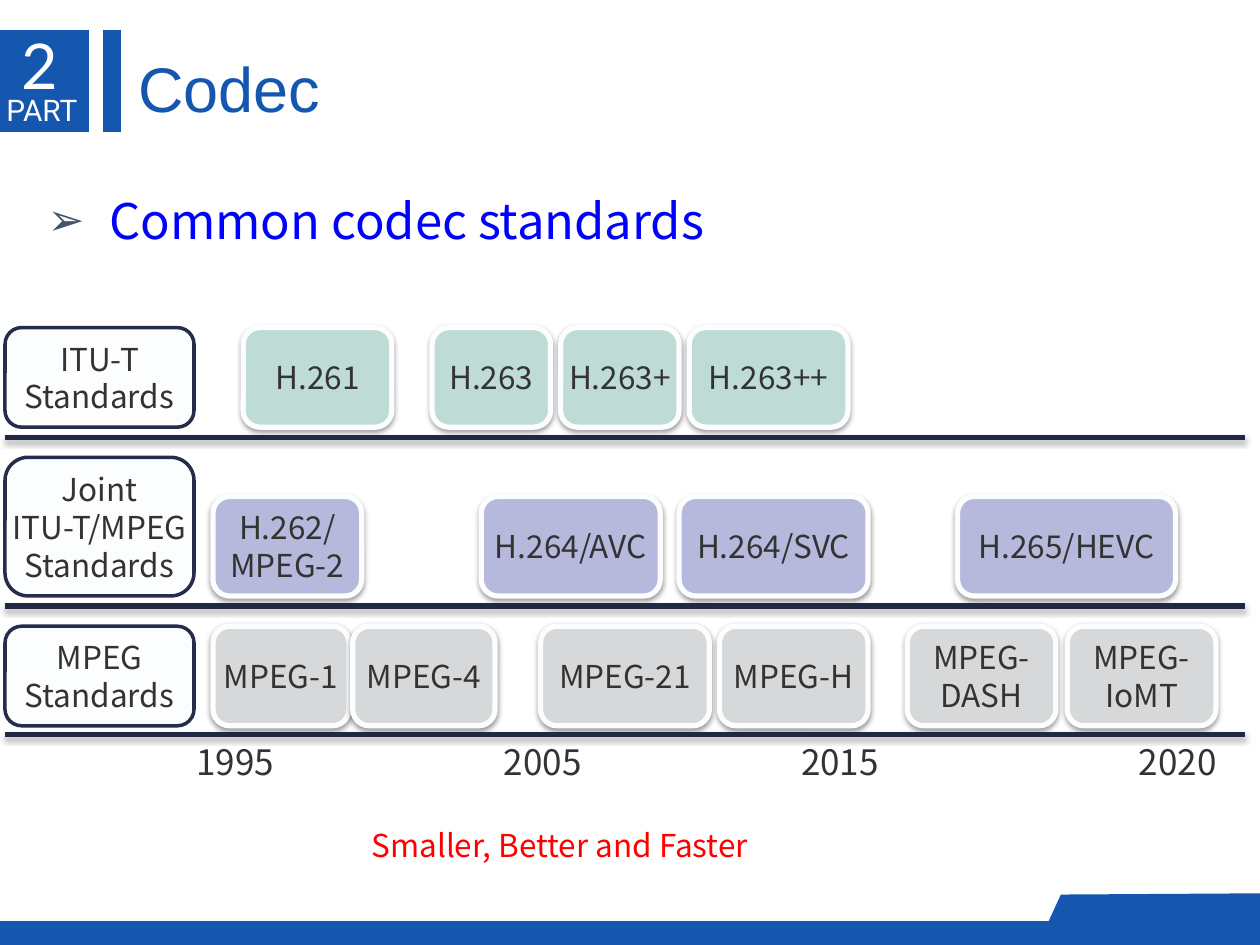
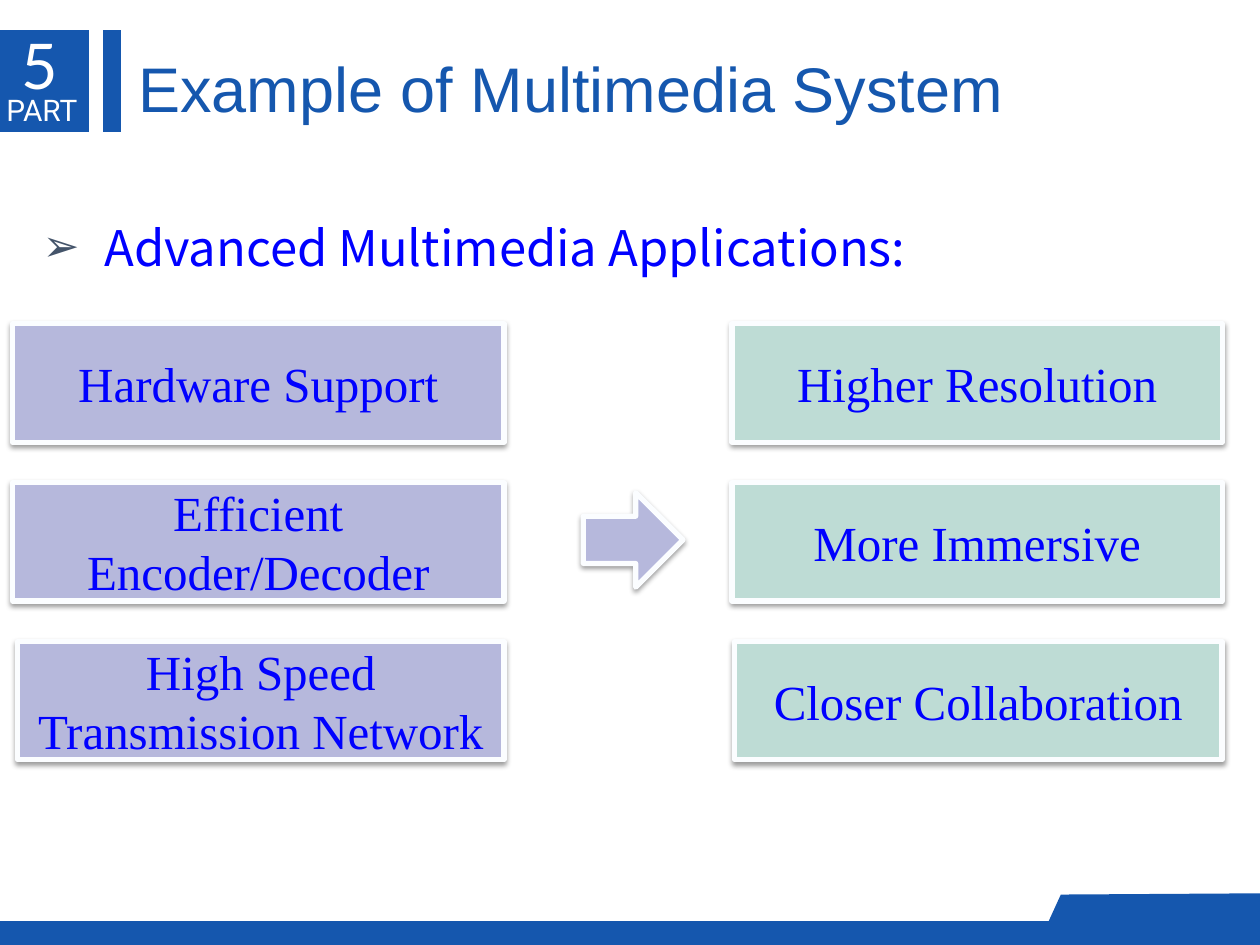
import pptx
import pptx.dml.color
import pptx.enum.shapes
import pptx.enum.text
import pptx.oxml
import pptx.oxml.ns
import pptx.util
import lxml.etree

Inches = pptx.util.Inches
Shapes = pptx.enum.shapes.MSO_SHAPE
Align = pptx.enum.text.PP_ALIGN
Anchor = pptx.enum.text.MSO_ANCHOR
AutoSize = pptx.enum.text.MSO_AUTO_SIZE

BLUE, WHITE, INK, LINK = "1557AE", "FFFFFF", "333333", "0000FF"
PALE, NAVY, AXIS, RED, SLATE = "FBFDFF", "262D4C", "212844", "FF0000", "44546A"
GREEN, LILAC, GREY = "BEDCD5", "B6B8DC", "D6D8DA"
SANS, SERIF = "Noto Sans CJK SC", "Times New Roman"

TITLE = {"name": "Arial", "size": 36, "color": BLUE}
NUMBER = {"name": "Lato", "size": 36, "color": WHITE}
PART = {"name": "Roboto", "size": 17, "color": WHITE}
HEADING = {"name": SANS, "size": 28, "color": LINK}
CODEC = {"name": SANS, "size": 18, "color": INK}
YEAR = {"name": SANS, "size": 20, "color": INK}
SLOGAN = {"name": SANS, "size": 18, "color": RED}
TOPIC = {"name": SERIF, "size": 28, "color": LINK}

NODE_HEIGHT = 0.79
STANDARDS = [
    {"label": "ITU-T\nStandards", "label_top": 2.6, "top": 2.6, "axis": 3.47, "fill": GREEN,
     "nodes": [("H.261", 1.93, 1.18), ("H.263", 3.43, 0.94),
               ("H.263+", 4.45, 0.94), ("H.263++", 5.47, 1.26)]},
    {"label": "Joint\nITU-T/MPEG\nStandards", "label_top": 3.63, "top": 3.94, "axis": 4.81,
     "fill": LILAC,
     "nodes": [("H.262/\nMPEG-2", 1.69, 1.18), ("H.264/AVC", 3.82, 1.42),
               ("H.264/SVC", 5.39, 1.5), ("H.265/HEVC", 7.6, 1.73)]},
    {"label": "MPEG\nStandards", "label_top": 4.97, "top": 4.97, "axis": 5.83, "fill": GREY,
     "nodes": [("MPEG-1", 1.69, 1.08), ("MPEG-4", 2.8, 1.13), ("MPEG-21", 4.29, 1.34),
               ("MPEG-H", 5.71, 1.18), ("MPEG-\nDASH", 7.2, 1.18),
               ("MPEG-\nIoMT", 8.47, 1.18)]},
]
YEARS = [("1995", 1.46), ("2005", 3.9), ("2015", 6.26), ("2020", 8.94)]

TOPIC_TOP, TOPIC_STEP, TOPIC_HEIGHT = 2.57, 1.26, 0.94
TOPIC_COLUMNS = [
    (LILAC, 4.0, [("Hardware Support", 0.1), ("Efficient\nEncoder/Decoder", 0.1),
                  ("High Speed\nTransmission Network", 0.14)]),
    (GREEN, 9.7, [("Higher Resolution", 5.81), ("More Immersive", 5.81),
                  ("Closer Collaboration", 5.83)]),
]


def rgb(value):
    return pptx.dml.color.RGBColor.from_string(value)


def write(box, text, style, align=Align.LEFT):
    frame = box.text_frame
    for index, line in enumerate(text.split("\n")):
        para = frame.add_paragraph() if index else frame.paragraphs[0]
        para.alignment = align
        span = para.add_run()
        span.text = line
        span.font.name = style["name"]
        span.font.size = pptx.util.Pt(style["size"])
        span.font.color.rgb = rgb(style["color"])
    return frame


def add_text(page, text, left, top, width, height, style, wrap=False, margin=None):
    box = page.shapes.add_textbox(*map(Inches, (left, top, width, height)))
    frame = write(box, text, style)
    frame.word_wrap = wrap
    frame.auto_size = AutoSize.NONE if wrap else AutoSize.SHAPE_TO_FIT_TEXT
    if margin is not None:
        for side in ("left", "right", "top", "bottom"):
            setattr(frame, f"margin_{side}", Inches(margin))
    return frame


def paint(shape, fill, line=None, weight=0):
    shape.shadow.inherit = False
    shape.fill.solid()
    shape.fill.fore_color.rgb = rgb(fill)
    if line:
        shape.line.color.rgb = rgb(line)
        shape.line.width = pptx.util.Pt(weight)
    else:
        shape.line.fill.background()


def cast_shadow(shape, opacity, distance):
    properties = shape._element.spPr
    effects = properties.find(pptx.oxml.ns.qn("a:effectLst"))
    if effects is None:
        effects = lxml.etree.SubElement(properties, pptx.oxml.ns.qn("a:effectLst"))
    effects.append(pptx.oxml.parse_xml(
        f'<a:outerShdw {pptx.oxml.ns.nsdecls("a")} blurRad="{pptx.util.Pt(3.1)}" '
        f'dist="{pptx.util.Pt(distance)}" dir="5400000" rotWithShape="0">'
        f'<a:srgbClr val="000000"><a:alpha val="{opacity * 1000}"/></a:srgbClr>'
        '</a:outerShdw>'))


def add_shape(page, kind, left, top, width, height, fill, line=None, weight=0):
    shape = page.shapes.add_shape(kind, *map(Inches, (left, top, width, height)))
    paint(shape, fill, line, weight)
    return shape


def add_label(shape, text, style):
    frame = write(shape, text, style, Align.CENTER)
    frame.word_wrap = False
    frame.vertical_anchor = Anchor.MIDDLE


def add_card(page, kind, left, top, width, height, fill, text="", style=None):
    card = add_shape(page, kind, left, top, width, height, fill, PALE, 3)
    cast_shadow(card, 38, 1.6)
    if text:
        add_label(card, text, style)


def add_axis(page, top):
    axis = page.shapes.add_connector(
        pptx.enum.shapes.MSO_CONNECTOR.STRAIGHT,
        *map(Inches, (0.04, top, 9.88, top)))
    axis.line.color.rgb = rgb(AXIS)
    axis.line.width = pptx.util.Pt(3)
    cast_shadow(axis, 35, 1.8)


def add_heading(page, text, left, top, height):
    frame = add_text(page, text, left, top, 9.37, height, HEADING, wrap=True)
    para = frame.paragraphs[0]
    para.line_spacing = 1.5
    properties = para._p.get_or_add_pPr()
    properties.set("marL", str(Inches(0.49)))
    properties.set("indent", str(Inches(-0.49)))
    namespace = pptx.oxml.ns.nsdecls("a")
    for bullet in (f'<a:buClr {namespace}><a:srgbClr val="{SLATE}"/></a:buClr>',
                   f'<a:buSzPct {namespace} val="90000"/>',
                   f'<a:buFont {namespace} typeface="Arial"/>',
                   f'<a:buChar {namespace} char="➢"/>'):
        properties.append(pptx.oxml.parse_xml(bullet))


def add_page(deck, number, title, title_width):
    page = deck.slides.add_slide(deck.slide_layouts[6])
    add_shape(page, Shapes.FLOWCHART_PROCESS, 0, 7.31, 10, 0.19, BLUE)
    corners = [(Inches(x), Inches(y)) for x, y in
               ((10, 7.45), (10, 7.09), (8.42, 7.1), (8.26, 7.45))]
    outline = page.shapes.build_freeform(*corners[0])
    outline.add_line_segments(corners[1:], close=True)
    paint(outline.convert_to_shape(), BLUE)
    add_text(page, title, 1, 0.34, title_width, 0.71, TITLE)
    for left, width in ((0, 0.71), (0.82, 0.14)):
        add_shape(page, Shapes.FLOWCHART_PROCESS, left, 0.24, width, 0.81, BLUE)
    add_text(page, number, 0.07, 0.16, 0.53, 0.71, NUMBER)
    add_text(page, "PART", 0.05, 0.73, 0.6, 0.29, PART, margin=0)
    return page


def build_codec_page(deck):
    page = add_page(deck, "2", "Codec", 1.66)
    add_heading(page, "Common codec standards", 0.28, 1.23, 3.15)
    for row in STANDARDS:
        height = row["top"] + NODE_HEIGHT - row["label_top"]
        label = add_shape(page, Shapes.ROUNDED_RECTANGLE, 0.04, row["label_top"], 1.5,
                          height, PALE, NAVY, 2)
        add_label(label, row["label"], CODEC)
        for text, left, width in row["nodes"]:
            add_card(page, Shapes.ROUNDED_RECTANGLE, left, row["top"], width,
                     NODE_HEIGHT, row["fill"], text, CODEC)
        add_axis(page, row["axis"])
    for year, left in YEARS:
        add_text(page, year, left, 5.83, 0.86, 0.44, YEAR)
    add_text(page, "Smaller, Better and Faster", 2.85, 6.51, 4.28, 0.5, SLOGAN)


def build_example_page(deck):
    page = add_page(deck, "5", "Example of Multimedia System", 7.13)
    for fill, right, topics in TOPIC_COLUMNS:
        for index, (text, left) in enumerate(topics):
            add_card(page, Shapes.RECTANGLE, left, TOPIC_TOP + index * TOPIC_STEP,
                     right - left, TOPIC_HEIGHT, fill, text, TOPIC)
    add_card(page, Shapes.RIGHT_ARROW, 4.63, 3.91, 0.79, 0.75, LILAC)
    add_heading(page, "Advanced Multimedia Applications:", 0.24, 1.44, 0.92)


def main():
    deck = pptx.Presentation()
    deck.slide_width = Inches(10)
    deck.slide_height = Inches(7.5)
    build_codec_page(deck)
    build_example_page(deck)
    deck.save("out.pptx")


if __name__ == "__main__":
    main()
